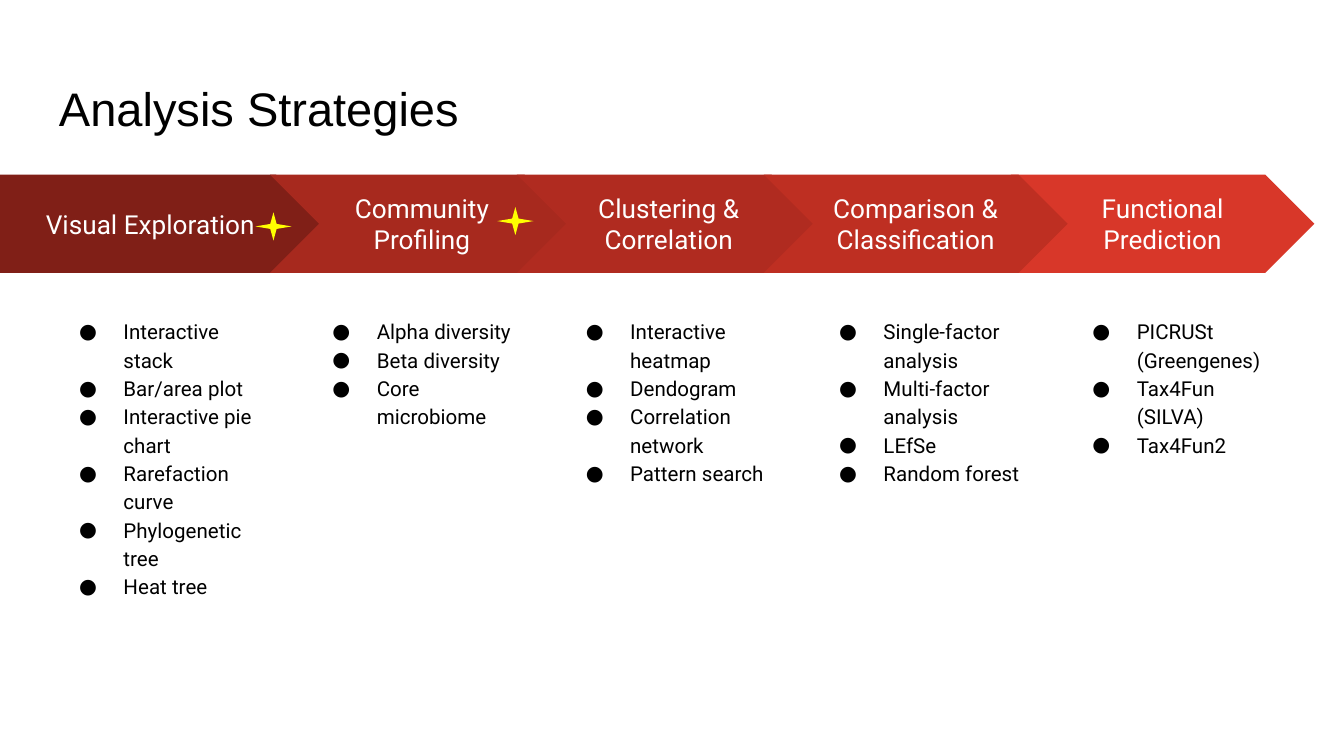
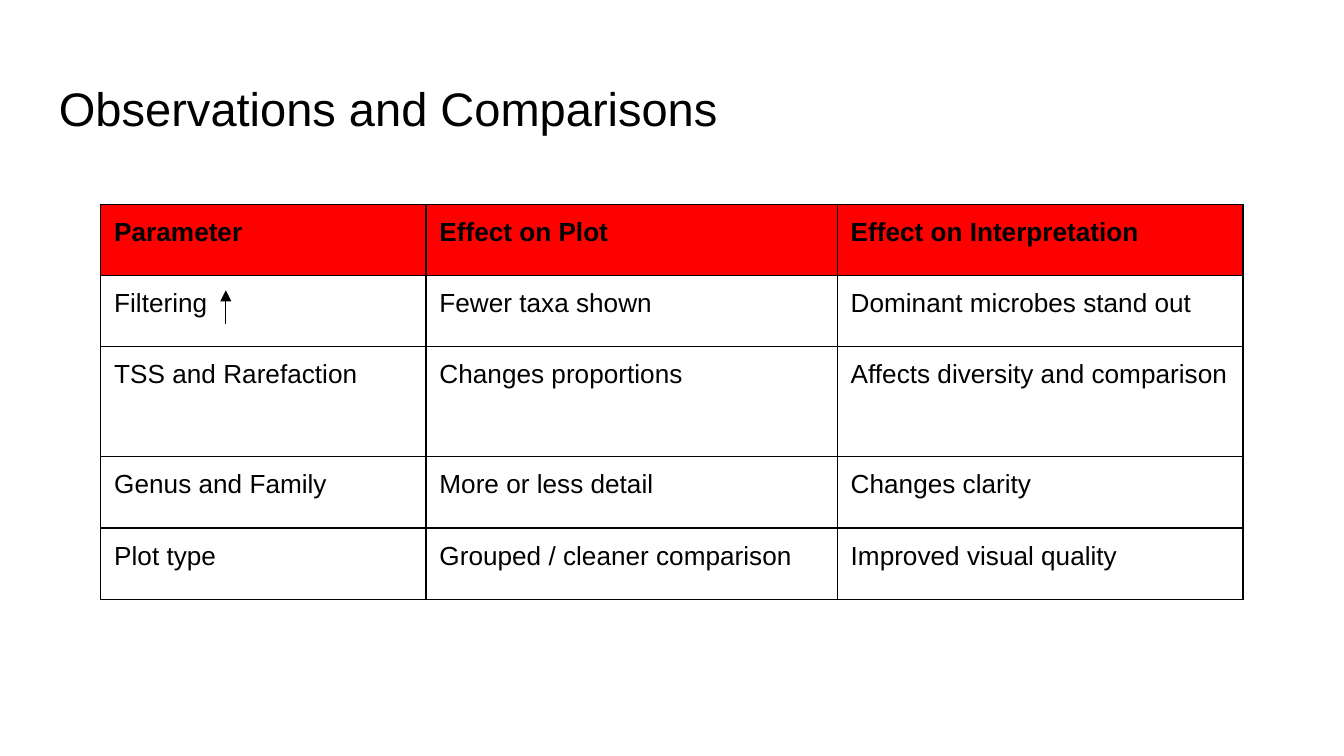
from dataclasses import dataclass

from lxml import etree
from pptx import Presentation
from pptx.dml.color import RGBColor
from pptx.enum.shapes import MSO_CONNECTOR, MSO_SHAPE
from pptx.enum.text import MSO_ANCHOR, PP_ALIGN
from pptx.oxml.ns import qn
from pptx.util import Emu, Inches, Pt

PENTAGON, CHEVRON, STAR = MSO_SHAPE.PENTAGON, MSO_SHAPE.CHEVRON, MSO_SHAPE.STAR_4_POINT
LEFT, CENTER = PP_ALIGN.LEFT, PP_ALIGN.CENTER
TOP, MIDDLE = MSO_ANCHOR.TOP, MSO_ANCHOR.MIDDLE
STRAIGHT = MSO_CONNECTOR.STRAIGHT


@dataclass(frozen=True)
class Theme:
    ink: str = "000000"
    paper: str = "FFFFFF"
    header: str = "FF0000"
    star: str = "FFFF00"
    stages: tuple = ("801F17", "A7291E", "B02B20", "BE2F22", "D83729")
    heading_font: str = "Arial"
    stage_font: str = "Roboto"
    title_size: float = 25.2
    label_size: float = 14
    list_size: float = 11
    rule: float = 0.75


theme = Theme()
deck = Presentation()
deck.slide_width, deck.slide_height = Inches(10), Inches(5.625)
BLANK = deck.slide_layouts[6]


def share(*lengths):
    """Turn alternating horizontal and vertical percentages of the slide into EMU."""
    sides = (deck.slide_width, deck.slide_height)
    return [Emu(round(sides[i % 2] * length / 100)) for i, length in enumerate(lengths)]


def write(frame, lines, font, size, color=theme.ink, align=LEFT, anchor=TOP,
          bold=False, bulleted=False):
    frame.word_wrap = True
    frame.vertical_anchor = anchor
    frame.margin_left = frame.margin_right = Inches(0.1)
    frame.margin_top = frame.margin_bottom = Inches(0.1)
    for number, line in enumerate(lines):
        paragraph = frame.add_paragraph() if number else frame.paragraphs[0]
        paragraph.text = line
        paragraph.alignment = align
        if bulleted:
            paragraph.line_spacing = 1.15
            properties = paragraph._p.get_or_add_pPr()
            properties.set("marL", str(Inches(0.5)))
            properties.set("indent", str(Inches(-0.33)))
            bullet_color = etree.SubElement(properties, qn("a:buClr"))
            etree.SubElement(bullet_color, qn("a:srgbClr"), val=color)
            etree.SubElement(properties, qn("a:buFont"), typeface=font)
            etree.SubElement(properties, qn("a:buChar"), char="●")
        paragraph.font.name = font
        paragraph.font.size = Pt(size)
        paragraph.font.bold = bold
        paragraph.font.color.rgb = RGBColor.from_string(color)


# Both slides share the background and the title style
slides = []
for title in ("Analysis Strategies", "Observations and Comparisons"):
    slide = deck.slides.add_slide(BLANK)
    slide.background.fill.solid()
    slide.background.fill.fore_color.rgb = RGBColor.from_string(theme.paper)
    heading = slide.shapes.add_textbox(*share(3.4, 8.71, 93.2, 11.2))
    write(heading.text_frame, [title], theme.heading_font, theme.title_size)
    slides.append(slide)
strategies, observations = slides

# Analysis Strategies: a band of stages with a list of methods below each
stages = [
    ("Visual Exploration",
     ["Interactive stack", "Bar/area plot", "Interactive pie chart",
      "Rarefaction curve", "Phylogenetic tree", "Heat tree"]),
    ("Community Profiling",
     ["Alpha diversity", "Beta diversity", "Core microbiome"]),
    ("Clustering & Correlation",
     ["Interactive heatmap", "Dendogram", "Correlation network", "Pattern search"]),
    ("Comparison & Classification",
     ["Single-factor analysis", "Multi-factor analysis", "LEfSe", "Random forest"]),
    ("Functional Prediction",
     ["PICRUSt (Greengenes)", "Tax4Fun (SILVA)", "Tax4Fun2"]),
]
STAGE_STEP, LIST_STEP = 18.37, 18.85
DRAWING_ORDER = (0, 1, 2, 4, 3)  # the fourth tip lies over the fifth stage

for column in DRAWING_ORDER:
    label, methods = stages[column]
    if column == 0:
        outline, left, width = PENTAGON, 0, 24.2
    else:
        outline, left, width = CHEVRON, 20.1 + (column - 1) * STAGE_STEP, 22.6
    stage = strategies.shapes.add_shape(outline, *share(left, 23.11, width, 12.98))
    stage.shadow.inherit = False
    stage.fill.solid()
    stage.fill.fore_color.rgb = RGBColor.from_string(theme.stages[column])
    stage.line.fill.background()
    write(stage.text_frame, [label], theme.stage_font, theme.label_size,
          theme.paper, CENTER, MIDDLE)

    method_list = strategies.shapes.add_textbox(
        *share(3.2 + column * LIST_STEP, 40, 17.8, 45.69))
    write(method_list.text_frame, methods, theme.stage_font, theme.list_size,
          bulleted=True)

for left, top in ((37, 27.38), (19, 28.09)):
    star = strategies.shapes.add_shape(STAR, *share(left, top, 2.7, 3.73))
    star.adjustments[0] = 0.125
    star.shadow.inherit = False
    star.fill.solid()
    star.fill.fore_color.rgb = RGBColor.from_string(theme.star)
    star.line.fill.background()

# Observations and Comparisons: parameters and their effects
effects = [
    ("Parameter", "Effect on Plot", "Effect on Interpretation"),
    ("Filtering", "Fewer taxa shown", "Dominant microbes stand out"),
    ("TSS and Rarefaction", "Changes proportions", "Affects diversity and comparison"),
    ("Genus and Family", "More or less detail", "Changes clarity"),
    ("Plot type", "Grouped / cleaner comparison", "Improved visual quality"),
]
column_widths = (24.2, 30.6, 30.2)
row_heights = (9.42, 9.42, 14.58, 9.42, 9.42)

table = observations.shapes.add_table(
    len(row_heights), len(column_widths),
    *share(7.5, 27.02, sum(column_widths), sum(row_heights))).table
table.first_row = table.horz_banding = False
for column, width in zip(table.columns, column_widths):
    column.width = share(width)[0]
for row, height in zip(table.rows, row_heights):
    row.height = share(0, height)[1]

for row_number, texts in enumerate(effects):
    is_header = row_number == 0
    for column_number, text in enumerate(texts):
        cell = table.cell(row_number, column_number)
        write(cell.text_frame, [text], theme.heading_font, theme.label_size,
              bold=is_header)
        cell.margin_left = cell.margin_right = Inches(0.1)
        cell.margin_top = cell.margin_bottom = Inches(0.1)
        cell.vertical_anchor = TOP
        cell_properties = cell._tc.get_or_add_tcPr()
        for side in ("a:lnL", "a:lnR", "a:lnT", "a:lnB"):
            border = etree.SubElement(cell_properties, qn(side), w=str(Pt(theme.rule)))
            border_fill = etree.SubElement(border, qn("a:solidFill"))
            etree.SubElement(border_fill, qn("a:srgbClr"), val=theme.ink)
        if is_header:
            cell.fill.solid()
            cell.fill.fore_color.rgb = RGBColor.from_string(theme.header)
        else:
            cell.fill.background()

increase = observations.shapes.add_connector(STRAIGHT, *share(16.8, 42.84, 16.8, 38.4))
increase.line.color.rgb = RGBColor.from_string(theme.ink)
increase.line.width = Pt(theme.rule)
etree.SubElement(increase.line._get_or_add_ln(), qn("a:tailEnd"), type="triangle")
etree.SubElement(increase._element.spPr, qn("a:effectLst"))

deck.save("out.pptx")
